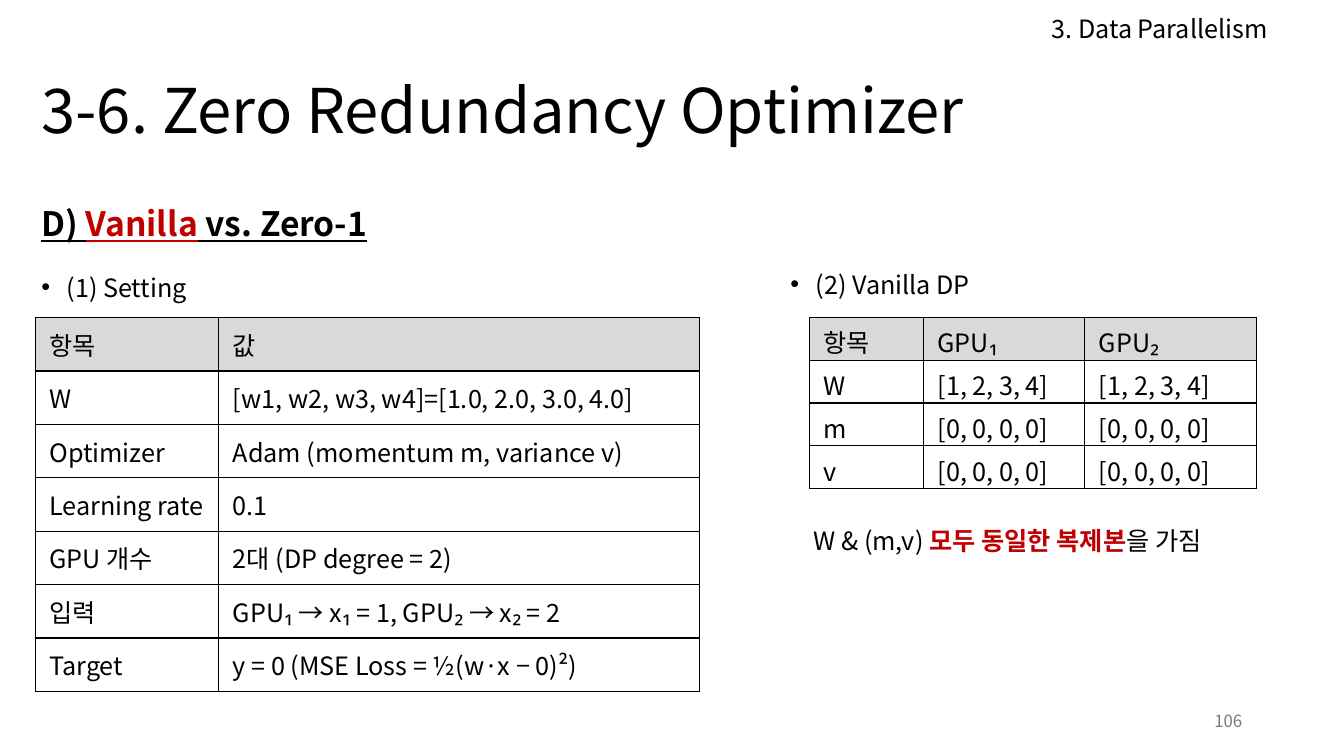
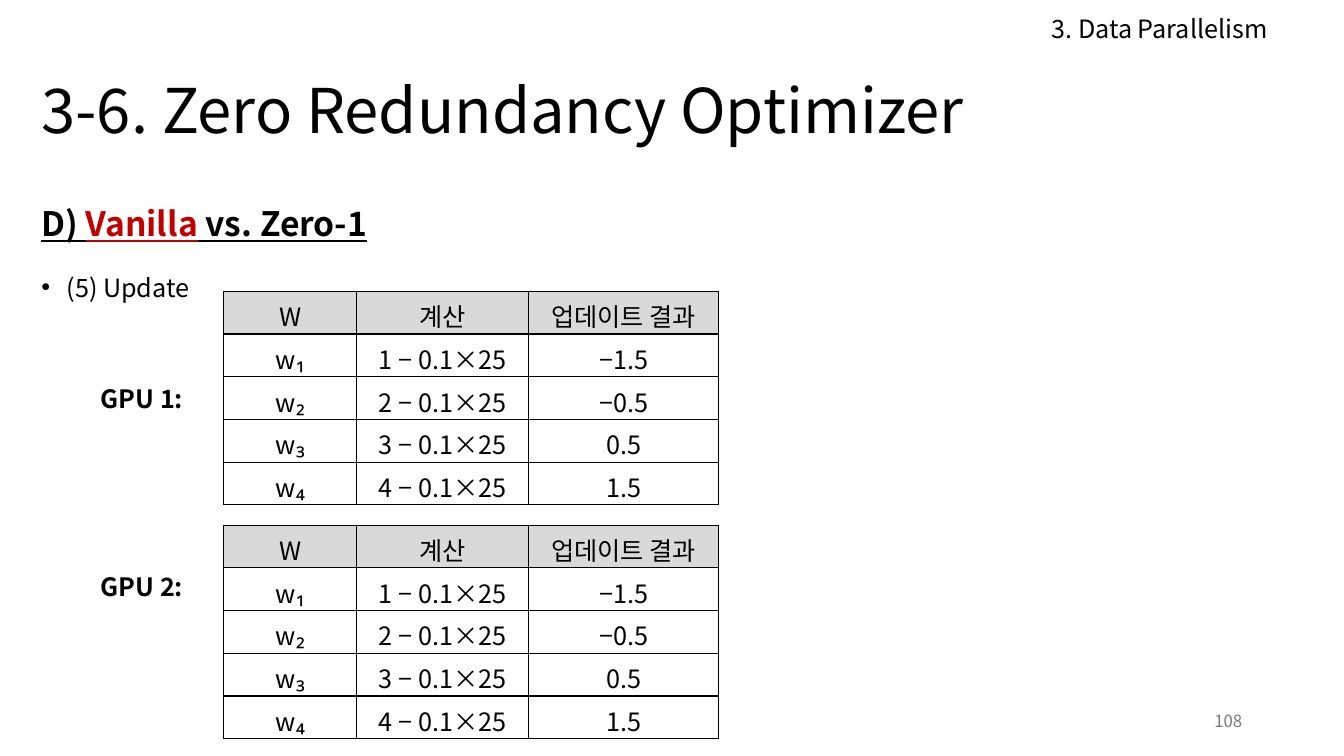
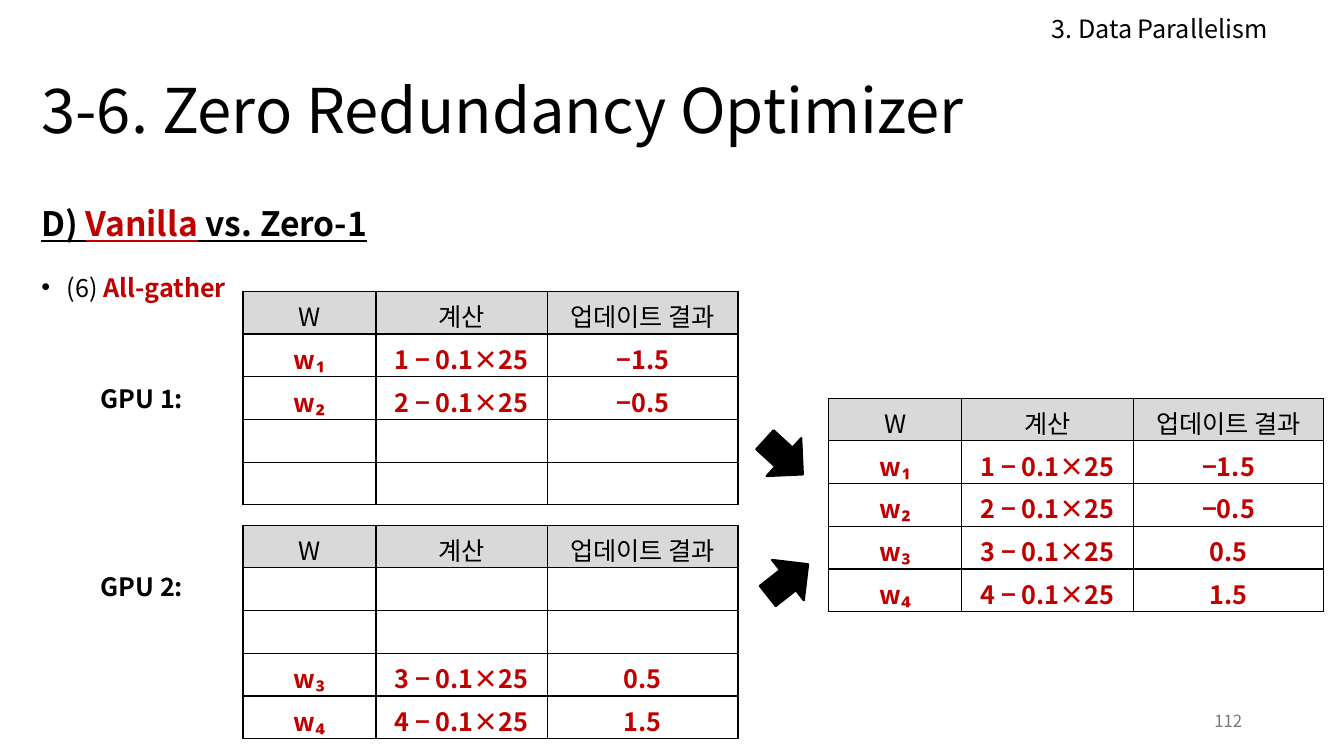
from dataclasses import dataclass

from lxml import etree
from pptx import Presentation
from pptx.dml.color import RGBColor
from pptx.enum import shapes, text
from pptx.oxml import ns
from pptx.util import Inches, Pt

FONT = "Noto Sans CJK KR"
BLACK = RGBColor(0x00, 0x00, 0x00)
RED = RGBColor(0xC0, 0x00, 0x00)
GRAY = RGBColor(0x79, 0x79, 0x79)
HEADER_FILL = RGBColor(0xD9, 0xD9, 0xD9)

SECTION = "3. Data Parallelism"
TITLE = "3-6. Zero Redundancy Optimizer"
BODY_SIZE = 18
LEFT, CENTER, RIGHT = text.PP_ALIGN.LEFT, text.PP_ALIGN.CENTER, text.PP_ALIGN.RIGHT
TIGHT_ROW = 2.12 / 5
UPDATE_COLS = (1.32, 1.7, 1.89)
UPDATE_HEADER = ("W", "계산", "업데이트 결과")
UPDATE_ROWS = [
    (f"w{sub}", f"{w} − 0.1×25", result)
    for w, (sub, result) in enumerate(
        zip("₁₂₃₄", ("−1.5", "−0.5", "0.5", "1.5")), start=1)
]
EMPTY_ROW = ("", "", "")
GPU_TABLE_TOPS = (2.89, 5.21)
GPU_LABEL_TOPS = (3.75, 5.62)


@dataclass(frozen=True)
class Span:
    text: str
    color: RGBColor = BLACK
    bold: bool = False
    underline: bool = False


@dataclass(frozen=True)
class Grid:
    """A table; emphasis makes the rows below the header bold and red."""
    left: float
    top: float
    cols: tuple[float, ...]
    rows: list[tuple[str, ...]]
    row_height: float = TIGHT_ROW
    bottom_inset: float = 0
    align: text.PP_ALIGN = CENTER
    emphasis: bool = False


@dataclass(frozen=True)
class Arrow:
    left: float
    top: float
    rotation: float


HEADING = (
    Span("D) ", bold=True, underline=True),
    Span("Vanilla", RED, bold=True, underline=True),
    Span(" vs. Zero-1", bold=True, underline=True),
)


def write(p, *spans: Span, size: float = BODY_SIZE, align=LEFT, spacing: float = 1,
          before: float = 0, bullet: bool = False) -> None:
    pPr = p._p.get_or_add_pPr()
    indent = Inches(0.25) if bullet else 0
    pPr.set("marL", str(indent))
    pPr.set("indent", str(-indent))
    if bullet:
        etree.SubElement(pPr, ns.qn("a:buFont"), typeface="Arial")
        etree.SubElement(pPr, ns.qn("a:buChar"), char="•")
    else:
        etree.SubElement(pPr, ns.qn("a:buNone"))
    p.alignment = align
    p.line_spacing = spacing
    p.space_before = Pt(before)
    for span in spans:
        r = p.add_run()
        r.text = span.text
        r.font.size = Pt(size)
        r.font.bold = span.bold
        r.font.underline = span.underline
        r.font.color.rgb = span.color
        r.font.name = FONT
        etree.SubElement(r._r.get_or_add_rPr(), ns.qn("a:ea"), typeface=FONT)


def add_text(s, left: float, top: float, width: float, height: float, *spans: Span,
             anchor=text.MSO_ANCHOR.TOP, **fmt) -> None:
    sp = s.shapes.add_textbox(Inches(left), Inches(top), Inches(width), Inches(height))
    tf = sp.text_frame
    tf.word_wrap = True
    tf.vertical_anchor = anchor
    write(tf.paragraphs[0], *spans, **fmt)


def place(sp, left: float, top: float, width: float, height: float, anchor):
    """Move a placeholder and return its text frame."""
    sp.left, sp.top = Inches(left), Inches(top)
    sp.width, sp.height = Inches(width), Inches(height)
    tf = sp.text_frame
    tf.auto_size = text.MSO_AUTO_SIZE.NONE
    tf.vertical_anchor = anchor
    return tf


def add_slide(prs, number: int, *topic: Span):
    s = prs.slides.add_slide(prs.slide_layouts[1])
    tf = place(s.shapes.title, 0.31, 0.68, 12.74, 0.89, text.MSO_ANCHOR.MIDDLE)
    write(tf.paragraphs[0], Span(TITLE), size=44, spacing=0.9)
    tf = place(s.placeholders[1], 0.31, 1.76, 12.74, 6.52, text.MSO_ANCHOR.TOP)
    write(tf.paragraphs[0], *HEADING, size=24, spacing=1.5)
    write(tf.add_paragraph(), *topic, spacing=1.5, before=10, bullet=True)
    add_text(s, 10.33, 0.08, 2.72, 0.4, Span(SECTION))
    add_text(s, 9.42, 6.95, 3, 0.4, Span(str(number), GRAY), size=12, align=RIGHT,
             anchor=text.MSO_ANCHOR.MIDDLE)
    return s


def add_borders(cell) -> None:
    tcPr = cell._tc.get_or_add_tcPr()
    for side in ("a:lnL", "a:lnR", "a:lnT", "a:lnB"):
        ln = etree.SubElement(tcPr, ns.qn(side), w=str(Pt(1)))
        fill = etree.SubElement(ln, ns.qn("a:solidFill"))
        etree.SubElement(fill, ns.qn("a:srgbClr"), val=str(BLACK))


def add_grid(s, grid: Grid) -> None:
    table = s.shapes.add_table(
        len(grid.rows), len(grid.cols), Inches(grid.left), Inches(grid.top),
        Inches(sum(grid.cols)), Inches(grid.row_height * len(grid.rows))).table
    table.first_row = table.horz_banding = False
    for col, width in zip(table.columns, grid.cols):
        col.width = Inches(width)
    for i, (row, values) in enumerate(zip(table.rows, grid.rows)):
        row.height = Inches(grid.row_height)
        strong = grid.emphasis and i > 0
        for cell, value in zip(row.cells, values):
            add_borders(cell)
            if i == 0:
                cell.fill.solid()
                cell.fill.fore_color.rgb = HEADER_FILL
            else:
                cell.fill.background()
            cell.margin_left = cell.margin_right = Inches(0.14)
            cell.margin_top = Inches(0.06)
            cell.margin_bottom = Inches(grid.bottom_inset)
            cell.vertical_anchor = text.MSO_ANCHOR.MIDDLE
            if value:
                write(cell.text_frame.paragraphs[0],
                      Span(value, RED if strong else BLACK, bold=strong), align=grid.align)


def add_update_grid(s, left: float, top: float, rows: list[tuple[str, ...]],
                    emphasis: bool = False) -> None:
    add_grid(s, Grid(left, top, UPDATE_COLS, [UPDATE_HEADER, *rows], emphasis=emphasis))


def add_gpu_labels(s) -> None:
    for gpu, top in enumerate(GPU_LABEL_TOPS, start=1):
        add_text(s, 0.9, top, 2.39, 0.4, Span(f"GPU {gpu}:", bold=True))


def add_arrow(s, arrow: Arrow) -> None:
    sp = s.shapes.add_shape(shapes.MSO_SHAPE.DOWN_ARROW, Inches(arrow.left),
                            Inches(arrow.top), Inches(0.51), Inches(0.51))
    sp.rotation = arrow.rotation
    sp.shadow.inherit = False
    sp.fill.solid()
    sp.fill.fore_color.rgb = BLACK
    sp.line.color.rgb = BLACK
    sp.line.width = Pt(1.5)


def add_setting_slide(prs) -> None:
    s = add_slide(prs, 106, Span("(1) Setting"))
    add_text(s, 7.74, 2.47, 5.89, 0.71, Span("(2) Vanilla DP"),
             spacing=1.5, before=10, bullet=True)
    zeros = "[0, 0, 0, 0]"
    weights = "[1, 2, 3, 4]"
    add_grid(s, Grid(8.03, 3.15, (1.13, 1.6, 1.7), [
        ("항목", "GPU₁", "GPU₂"),
        ("W", weights, weights),
        ("m", zeros, zeros),
        ("v", zeros, zeros),
    ], align=LEFT))
    add_grid(s, Grid(0.35, 3.15, (1.82, 4.77), [
        ("항목", "값"),
        ("W", "[w1, w2, w3, w4]=[1.0, 2.0, 3.0, 4.0]"),
        ("Optimizer", "Adam (momentum m, variance v)"),
        ("Learning rate", "0.1"),
        ("GPU 개수", "2대 (DP degree = 2)"),
        ("입력", "GPU₁ → x₁ = 1, GPU₂ → x₂ = 2"),
        ("Target", "y = 0 (MSE Loss = ½(w·x − 0)²)"),
    ], row_height=0.53, bottom_inset=0.06, align=LEFT))
    add_text(s, 7.97, 5.16, 4.72, 0.4, Span("W & (m,v) "),
             Span("모두 동일한 복제본", RED, bold=True), Span("을 가짐"))


def add_update_slide(prs) -> None:
    s = add_slide(prs, 108, Span("(5) Update"))
    add_gpu_labels(s)
    for top in GPU_TABLE_TOPS:
        add_update_grid(s, 2.22, top, UPDATE_ROWS)


def add_gather_slide(prs) -> None:
    s = add_slide(prs, 112, Span("(6) "), Span("All-gather", RED, bold=True))
    add_gpu_labels(s)
    blank = [EMPTY_ROW] * 2
    shards = (UPDATE_ROWS[:2] + blank, blank + UPDATE_ROWS[2:])
    for top, rows in zip(GPU_TABLE_TOPS, shards):
        add_update_grid(s, 2.41, top, rows, emphasis=True)
    add_update_grid(s, 8.22, 3.95, UPDATE_ROWS, emphasis=True)
    for arrow in (Arrow(7.52, 4.28, 312.4), Arrow(7.56, 5.5, 231.8)):
        add_arrow(s, arrow)


def main() -> None:
    prs = Presentation()
    prs.slide_width, prs.slide_height = Inches(13.33), Inches(7.5)
    add_setting_slide(prs)
    add_update_slide(prs)
    add_gather_slide(prs)
    prs.save("out.pptx")


if __name__ == "__main__":
    main()
